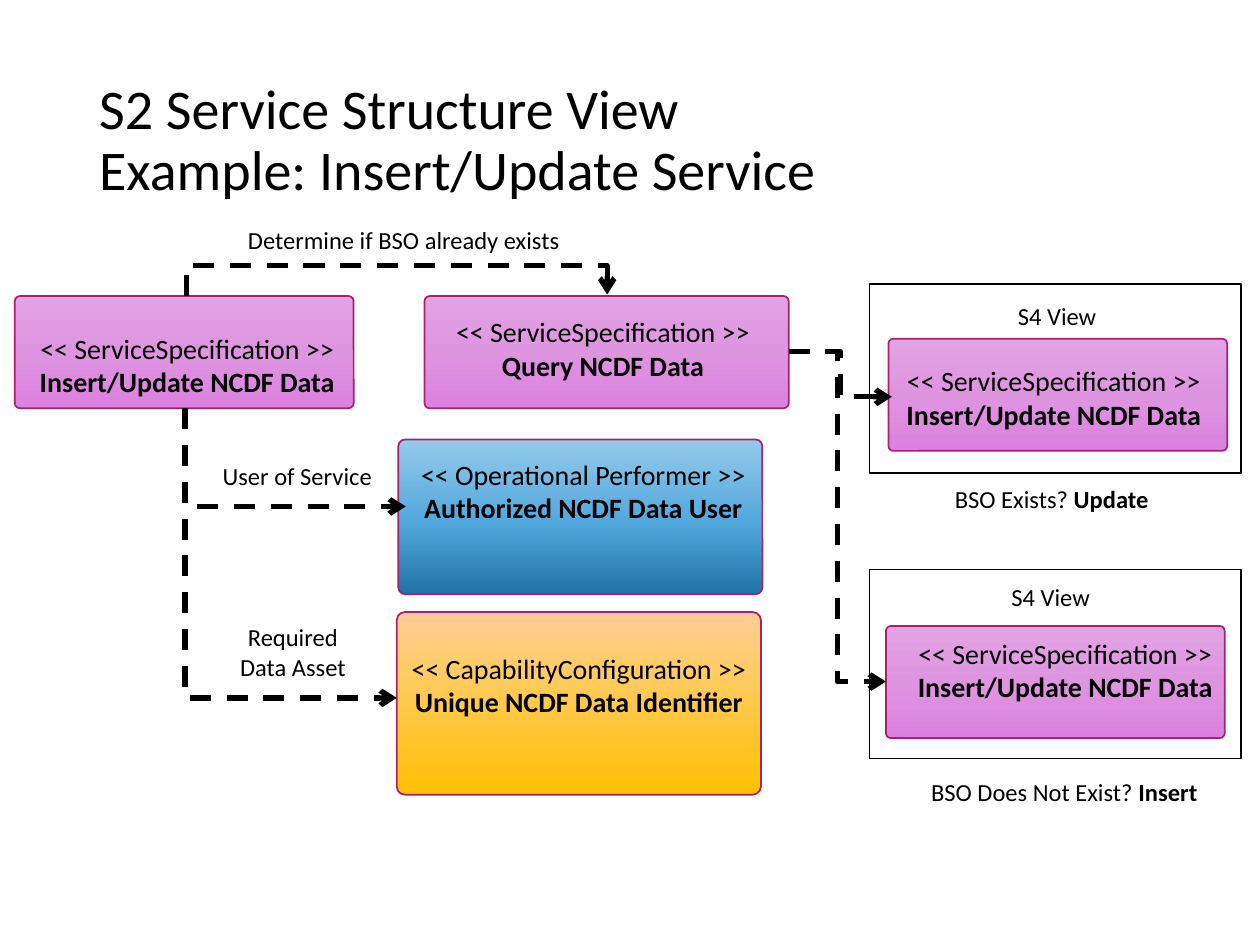
from copy import deepcopy

from lxml.etree import SubElement
from pptx import Presentation
from pptx.dml.color import RGBColor
from pptx.enum.dml import MSO_LINE_DASH_STYLE as Dash
from pptx.enum.shapes import MSO_CONNECTOR as Link, MSO_SHAPE as Form
from pptx.enum.text import MSO_ANCHOR as Anchor, MSO_AUTO_SIZE as Fit, PP_ALIGN as Align
from pptx.oxml.ns import qn
from pptx.util import Cm, Pt

PINK = [(0, "E2A3E5"), (0.5, "DD95E0"), (1, "DC81DF")]
BLUE = [(0, "95CAEA"), (0.52, "53A9DD"), (1, "2174A7")]
GOLD = [(0, "FFCC99"), (0.31, "FFCC66"), (1, "FFC000")]
SERVICE = "<< ServiceSpecification >>"
UPSERT = "Insert/Update NCDF Data"


def color(value):
    return RGBColor.from_string(value)


def add_text(para, text, size=14, bold=False, font="Calibri", ink="000000"):
    span = para.add_run()
    span.text = text
    span.font.name = font
    span.font.size = Pt(size)
    span.font.bold = bold
    span.font.color.rgb = color(ink)


class Diagram:
    ink = "000000"
    paper = "FFFFFF"
    edge = "A8216B"

    def __init__(self, page):
        self.page = page

    def title(self, lines, area):
        box = self.page.shapes.add_textbox(*map(Cm, area))
        frame = box.text_frame
        frame.word_wrap = True
        frame.vertical_anchor = Anchor.MIDDLE
        para = frame.paragraphs[0]
        para.line_spacing = 0.9
        for index, line in enumerate(lines):
            if index:
                para.add_line_break()
            add_text(para, line, size=32)

    def label(self, lines, area, align=Align.LEFT, size=14):
        box = self.page.shapes.add_textbox(*map(Cm, area))
        frame = box.text_frame
        frame.word_wrap = False
        frame.auto_size = Fit.SHAPE_TO_FIT_TEXT
        for index, spans in enumerate(lines):
            para = frame.add_paragraph() if index else frame.paragraphs[0]
            para.alignment = align
            for text, bold in spans:
                add_text(para, text, size=size, bold=bold)

    def caption(self, kind, name, area):
        self.label([[(kind, False)], [(name, True)]], area, Align.CENTER, 16)

    def frame(self, area):
        shape = self.page.shapes.add_shape(Form.RECTANGLE, *map(Cm, area))
        shape.shadow.inherit = False
        shape.fill.solid()
        shape.fill.fore_color.rgb = color(self.paper)
        shape.line.color.rgb = color(self.ink)
        shape.line.width = Pt(1)

    def card(self, area, stops):
        shape = self.page.shapes.add_shape(Form.ROUNDED_RECTANGLE, *map(Cm, area))
        shape.shadow.inherit = False
        shape.adjustments[0] = 0.044
        shape.line.color.rgb = color(self.edge)
        shape.line.width = Pt(1)
        shape.fill.gradient()
        shape.fill.gradient_angle = 270
        stop_list = next(shape._element.spPr.iter(qn("a:gsLst")))
        stop_list.append(deepcopy(stop_list[0]))
        for stop, (position, value) in zip(shape.fill.gradient_stops, stops):
            stop.position = position
            stop.color.rgb = color(value)

    def arrow(self, start, end, preset="bentConnector3", turn=0, flips=(), bend=None):
        (x1, y1), (x2, y2) = start, end
        width, height = abs(x2 - x1), abs(y2 - y1)
        if turn:
            width, height = height, width
        left, top = (x1 + x2 - width) / 2, (y1 + y2 - height) / 2
        line = self.page.shapes.add_connector(
            Link.ELBOW, Cm(left), Cm(top), Cm(left + width), Cm(top + height))
        line.line.color.rgb = color(self.ink)
        line.line.width = Pt(3)
        line.line.dash_style = Dash.DASH
        props = line._element.spPr
        SubElement(props.find(qn("a:ln")), qn("a:tailEnd"), type="arrow")
        SubElement(props, qn("a:effectLst"))
        placing = props.find(qn("a:xfrm"))
        placing.set("rot", str(turn * 60000))
        for flip in flips:
            placing.set(flip, "1")
        outline = props.find(qn("a:prstGeom"))
        outline.set("prst", preset)
        if bend is not None:
            guides = outline.find(qn("a:avLst"))
            SubElement(guides, qn("a:gd"), name="adj1", fmla=f"val {round(bend * 100000)}")


def main():
    deck = Presentation()
    deck.slide_width, deck.slide_height = Cm(25.4), Cm(19.05)
    page = deck.slides.add_slide(deck.slide_layouts[6])
    diagram = Diagram(page)

    diagram.title(["S2 Service Structure View", "Example: Insert/Update Service"],
                  (1.75, 1.02, 21.89, 3.68))

    for area in ((17.53, 5.72, 7.49, 3.81), (17.53, 11.48, 7.49, 3.81)):
        diagram.frame(area)

    cards = [
        ((0.3, 5.97, 6.83, 2.26), PINK, SERVICE, UPSERT, (0.51, 6.55, 6.53, 1.63)),
        ((8.56, 5.97, 7.34, 2.26), PINK, SERVICE, "Query NCDF Data", (8.89, 6.22, 6.53, 1.63)),
        ((17.91, 6.83, 6.83, 2.26), PINK, SERVICE, UPSERT, (17.98, 7.21, 6.53, 1.63)),
        ((17.86, 12.62, 6.83, 2.26), PINK, SERVICE, UPSERT, (18.21, 12.7, 6.53, 1.63)),
        ((8, 12.34, 7.34, 3.68), GOLD, "<< CapabilityConfiguration >>",
         "Unique NCDF Data Identifier", (8, 13, 7.34, 2.13)),
        ((8.03, 8.86, 7.34, 3.12), BLUE, "<< Operational Performer >>",
         "Authorized NCDF Data User", (8.18, 9.09, 7.16, 2.26)),
    ]
    for area, stops, kind, name, text_area in cards:
        diagram.card(area, stops)
        diagram.caption(kind, name, text_area)

    for target in ((8.18, 10.21), (8, 14.07)):
        diagram.arrow((3.73, 8.23), target, "bentConnector2", 270, ["flipH"])
    diagram.arrow((3.76, 5.97), (12.24, 5.94), turn=90, flips=["flipH", "flipV"], bend=20.33)
    for target in ((17.98, 8), (17.86, 13.74)):
        diagram.arrow((15.9, 7.09), target)

    labels = [
        ([("S4 View", False)], (20.27, 5.94, 2.11, 0.86)),
        ([("S4 View", False)], (20.14, 11.61, 2.11, 0.86)),
        ([("User of Service", False)], (4.24, 9.17, 3.56, 0.86)),
        ([("Determine if BSO already exists", False)], (4.75, 4.42, 6.86, 0.86)),
        ([("BSO Exists? ", False), ("Update", True)], (19, 9.63, 4.42, 0.86)),
        ([("BSO Does Not Exist? ", False), ("Insert", True)], (18.52, 15.54, 5.89, 0.86)),
    ]
    for spans, area in labels:
        diagram.label([spans], area)
    diagram.label([[("Required", False)], [("Data Asset", False)]],
                  (4.57, 12.42, 2.67, 1.45), Align.CENTER)

    deck.save("out.pptx")


if __name__ == "__main__":
    main()
